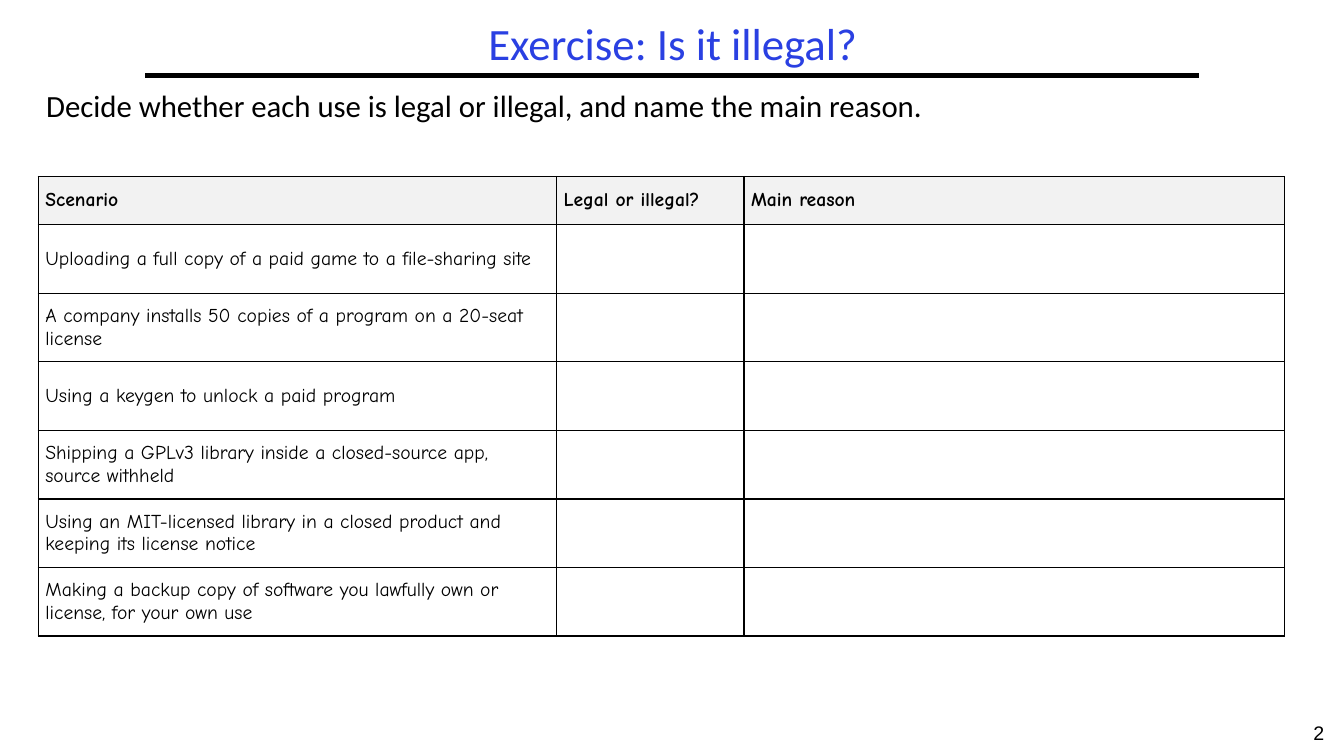
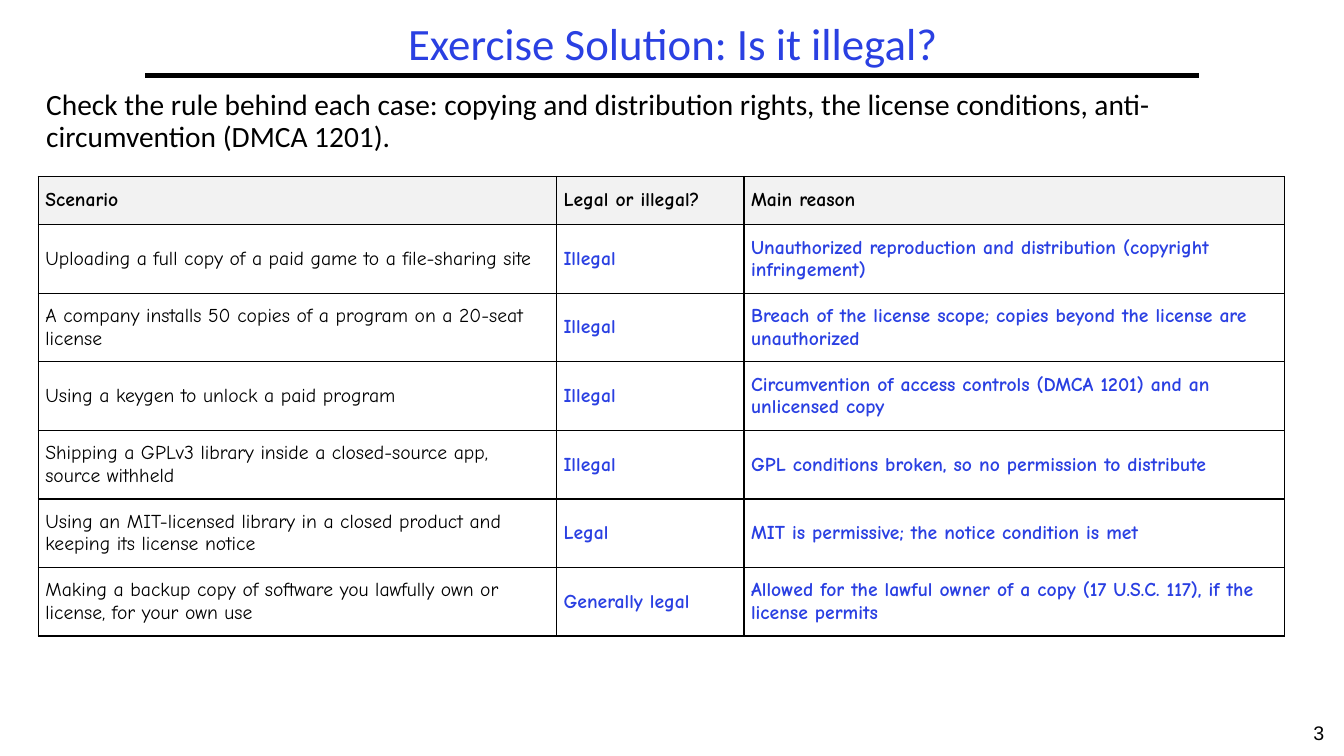
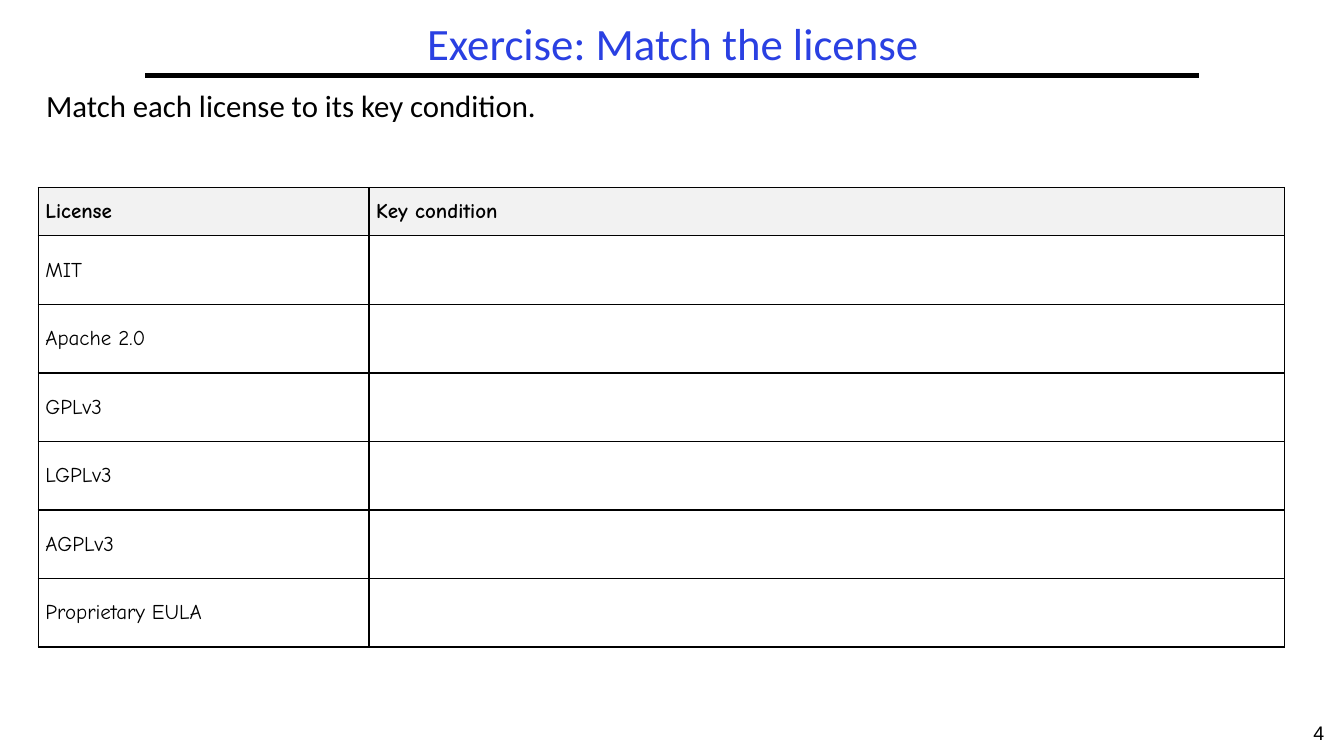
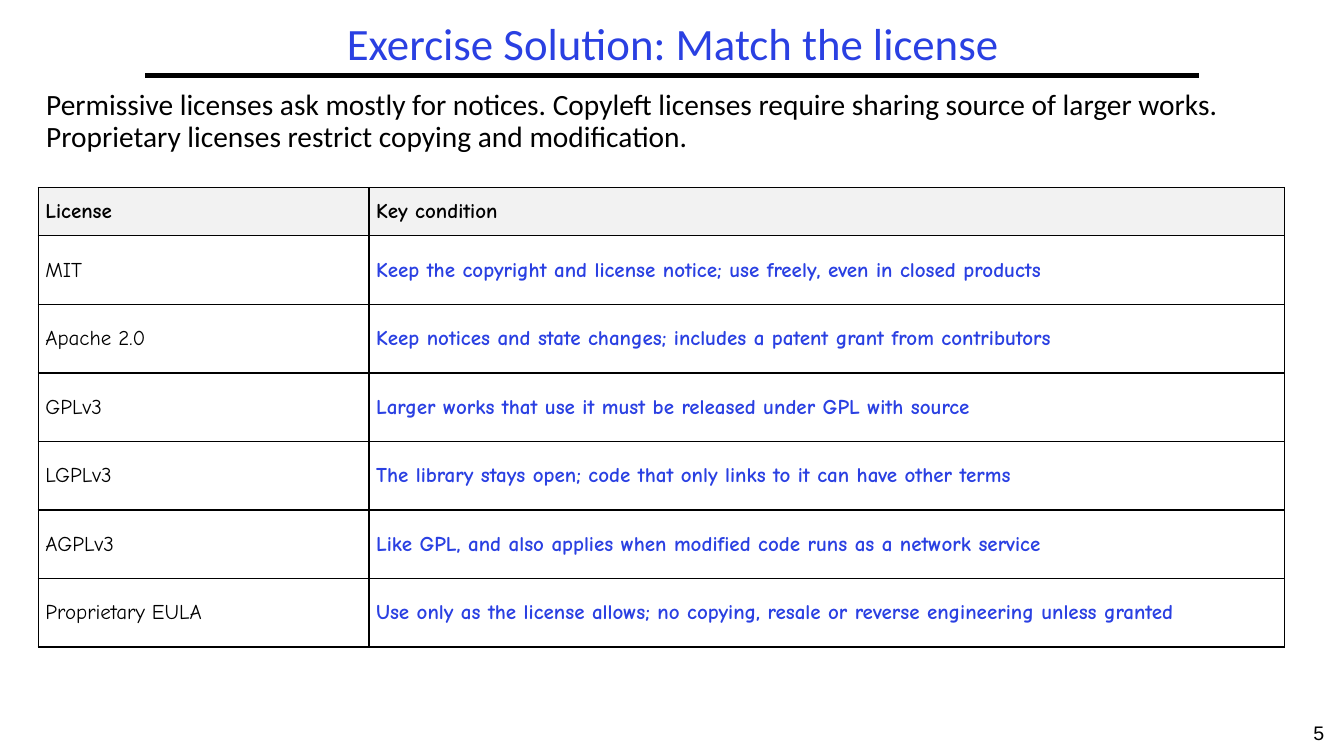
from lxml import etree
from pptx import Presentation
from pptx.dml.color import RGBColor
from pptx.enum.shapes import MSO_CONNECTOR
from pptx.enum.text import MSO_ANCHOR, PP_ALIGN
from pptx.oxml.ns import qn
from pptx.util import Emu, Pt

PX = 9144
BLACK = RGBColor(0x00, 0x00, 0x00)
BLUE = RGBColor(0x2A, 0x40, 0xE2)
HEADER_GRAY = RGBColor(0xF2, 0xF2, 0xF2)
STRAIGHT = MSO_CONNECTOR.STRAIGHT
MIDDLE = MSO_ANCHOR.MIDDLE
TOP = MSO_ANCHOR.TOP
CENTER = PP_ALIGN.CENTER
LEFT = PP_ALIGN.LEFT
TEXT_FONT = "Calibri"
TABLE_FONT = "Comic Neue"
NUMBER_FONT = "Arial"
HEADER_HEIGHT = 48
ROW_HEIGHT = 68

USE_HEADINGS = ("Scenario", "Legal or illegal?", "Main reason")
USE_COLUMNS = (514, 186, 536)
USES = (
    ("Uploading a full copy of a paid game to a file-sharing site", "Illegal",
     "Unauthorized reproduction and distribution (copyright infringement)"),
    ("A company installs 50 copies of a program on a 20-seat license", "Illegal",
     "Breach of the license scope; copies beyond the license are unauthorized"),
    ("Using a keygen to unlock a paid program", "Illegal",
     "Circumvention of access controls (DMCA 1201) and an unlicensed copy"),
    ("Shipping a GPLv3 library inside a closed-source app, source withheld", "Illegal",
     "GPL conditions broken, so no permission to distribute"),
    ("Using an MIT-licensed library in a closed product and keeping its license notice",
     "Legal", "MIT is permissive; the notice condition is met"),
    ("Making a backup copy of software you lawfully own or license, for your own use",
     "Generally legal",
     "Allowed for the lawful owner of a copy (17 U.S.C. 117), if the license permits"),
)

LICENSE_HEADINGS = ("License", "Key condition")
LICENSE_COLUMNS = (328, 908)
LICENSES = (
    ("MIT", "Keep the copyright and license notice; use freely, even in closed products"),
    ("Apache 2.0", "Keep notices and state changes; includes a patent grant from contributors"),
    ("GPLv3", "Larger works that use it must be released under GPL with source"),
    ("LGPLv3", "The library stays open; code that only links to it can have other terms"),
    ("AGPLv3", "Like GPL, and also applies when modified code runs as a network service"),
    ("Proprietary EULA",
     "Use only as the license allows; no copying, resale or reverse engineering unless granted"),
)


def px(length):
    """Turn a length in px into EMU."""
    return Emu(length * PX)


class Deck:
    """Hold the shared style and the current slide."""

    def __init__(self):
        """Start an empty widescreen presentation."""
        self.presentation = Presentation()
        self.presentation.slide_width = px(1333)
        self.presentation.slide_height = px(750)
        self.slide = None

    def start(self, title, number):
        """Add a slide with its title, rule and number."""
        self.slide = self.presentation.slides.add_slide(self.presentation.slide_layouts[6])
        self.rule(144, 75, 1189)
        self.text(str(number), (1283, 710, 50, 40), 14, font=NUMBER_FONT, align=CENTER)
        self.text(title, (144, 17, 1047, 58), 32, BLUE, align=CENTER, anchor=MIDDLE, spacing=0.9)

    def rule(self, left, y, right):
        """Draw the heavy line under the title."""
        line = self.slide.shapes.add_connector(STRAIGHT, px(left), px(y), px(right), px(y))
        line.line.color.rgb = BLACK
        line.line.width = Pt(3)
        etree.SubElement(line.element.spPr, qn("a:effectLst"))

    def style(self, paragraph, size, color, font, bold=False):
        """Set the font of a paragraph's runs."""
        for run in paragraph.runs:
            run.font.name = font
            run.font.size = Pt(size)
            run.font.bold = bold
            run.font.color.rgb = color

    def text(self, words, box, size, color=BLACK, font=TEXT_FONT, align=LEFT, anchor=TOP,
             spacing=1.0):
        """Add a wrapped one-paragraph text box."""
        frame = self.slide.shapes.add_textbox(*map(px, box)).text_frame
        frame.word_wrap = True
        frame.vertical_anchor = anchor
        frame.text = words
        paragraph = frame.paragraphs[0]
        paragraph.alignment = align
        paragraph.line_spacing = spacing
        self.style(paragraph, size, color, font)

    def instruction(self, words, size):
        """Add the sentence above the table."""
        self.text(words, (36, 85, 1258, 90), size, spacing=0.9)

    def border(self, cell):
        """Give a cell thin black lines on all sides."""
        properties = cell._tc.get_or_add_tcPr()
        for side in ("a:lnL", "a:lnR", "a:lnT", "a:lnB"):
            edge = etree.SubElement(properties, qn(side), w=str(Pt(1)))
            fill = etree.SubElement(edge, qn("a:solidFill"))
            etree.SubElement(fill, qn("a:srgbClr"), val=str(BLACK))

    def cell(self, cell, words, size, header, answer):
        """Fill and style one table cell."""
        self.border(cell)
        if header:
            cell.fill.solid()
            cell.fill.fore_color.rgb = HEADER_GRAY
        else:
            cell.fill.background()
        cell.margin_left = cell.margin_right = px(7)
        cell.margin_top = cell.margin_bottom = px(3)
        cell.vertical_anchor = MIDDLE
        cell.text_frame.text = words
        color = BLUE if answer else BLACK
        self.style(cell.text_frame.paragraphs[0], size, color, TABLE_FONT, header or answer)

    def table(self, headings, entries, columns, top, size, solved):
        """Add an exercise table, with answers only when solved."""
        heights = [HEADER_HEIGHT] + [ROW_HEIGHT] * len(entries)
        grid = self.slide.shapes.add_table(
            len(heights), len(columns), px(38), px(top), px(sum(columns)), px(sum(heights))
        ).table
        grid.first_row = grid.horz_banding = False
        for column, width in zip(grid.columns, columns):
            column.width = px(width)
        for r, (height, entry) in enumerate(zip(heights, (headings, *entries))):
            grid.rows[r].height = px(height)
            header = r == 0
            for c, words in enumerate(entry):
                answer = not header and c > 0
                shown = words if solved or not answer else ""
                self.cell(grid.cell(r, c), shown, size, header, answer)


def main():
    """Build the exercises and their solutions."""
    deck = Deck()
    use_table = (USE_HEADINGS, USES, USE_COLUMNS, 175, 14)
    license_table = (LICENSE_HEADINGS, LICENSES, LICENSE_COLUMNS, 186, 15)
    pages = (
        ("Exercise: Is it illegal?",
         "Decide whether each use is legal or illegal, and name the main reason.",
         use_table, False),
        ("Exercise Solution: Is it illegal?",
         "Check the rule behind each case: copying and distribution rights, the license "
         "conditions, anti-circumvention (DMCA 1201).",
         use_table, True),
        ("Exercise: Match the license",
         "Match each license to its key condition.",
         license_table, False),
        ("Exercise Solution: Match the license",
         "Permissive licenses ask mostly for notices. Copyleft licenses require sharing source "
         "of larger works. Proprietary licenses restrict copying and modification.",
         license_table, True),
    )
    for number, (title, instruction, table, solved) in enumerate(pages, start=2):
        deck.start(title, number)
        deck.instruction(instruction, 21 if solved else 22)
        deck.table(*table, solved)
    deck.presentation.save("out.pptx")


if __name__ == "__main__":
    main()
